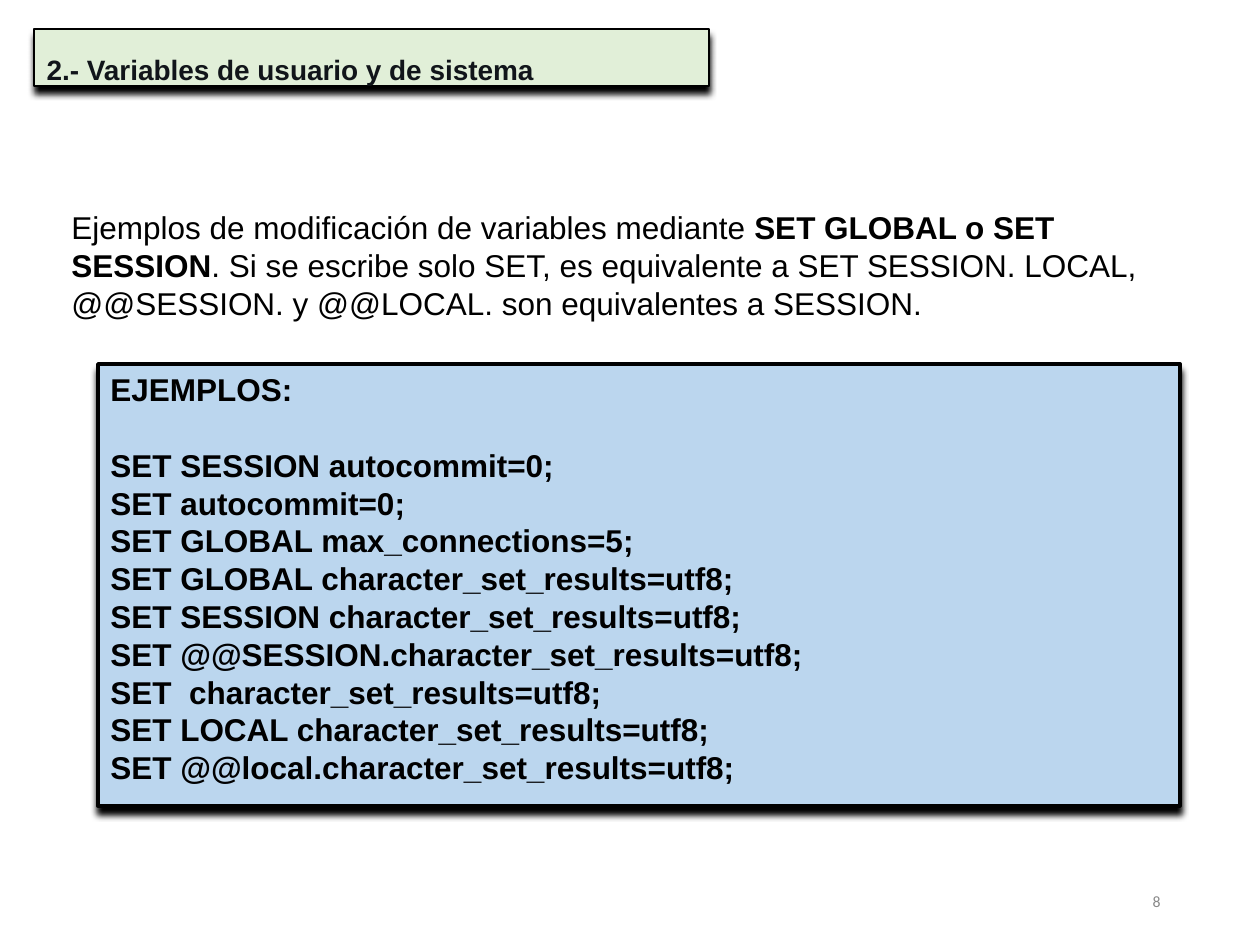
"""Builds the slide on changing user and system variables with SET GLOBAL and SET SESSION."""
from lxml import etree
from pptx import Presentation
from pptx import util as u
from pptx.dml.color import RGBColor
from pptx.enum import shapes, text
from pptx.oxml.ns import qn

PX = 914400 / 126
BLACK = RGBColor(0x00, 0x00, 0x00)
TITLE_INK = RGBColor(0x11, 0x15, 0x1A)
PAGE_GREY = RGBColor(0x89, 0x89, 0x89)
GREEN = RGBColor(0xE1, 0xEF, 0xD8)
BLUE = RGBColor(0xBB, 0xD6, 0xEE)

INTRO = [
    ("Ejemplos de modificación de variables mediante ", False),
    ("SET GLOBAL o SET SESSION", True),
    (". Si se escribe solo SET, es equivalente a SET SESSION. LOCAL, "
     "@@SESSION. y @@LOCAL. son equivalentes a SESSION.", False),
]
STATEMENTS = [
    "SET SESSION autocommit=0;",
    "SET autocommit=0;",
    "SET GLOBAL max_connections=5;",
    "SET GLOBAL character_set_results=utf8;",
    "SET SESSION character_set_results=utf8;",
    "SET @@SESSION.character_set_results=utf8;",
    "SET  character_set_results=utf8;",
    "SET LOCAL character_set_results=utf8;",
    "SET @@local.character_set_results=utf8;",
]


def px(*lengths):
    return [u.Emu(round(length * PX)) for length in lengths]


def add_run(paragraph, words, size=18, color=BLACK, bold=False, font="Arial"):
    run = paragraph.add_run()
    run.text = words
    run.font.name = font
    run.font.size = u.Pt(size)
    run.font.bold = bold
    run.font.color.rgb = color


def style_panel(panel, fill, line_width):
    panel.fill.solid()
    panel.fill.fore_color.rgb = fill
    panel.line.color.rgb = BLACK
    panel.line.width = u.Pt(line_width)
    panel.shadow.inherit = False
    effects = panel._element.spPr.find(qn("a:effectLst"))
    shadow = etree.SubElement(effects, qn("a:outerShdw"), blurRad=str(u.Pt(4)),
                              dist=str(u.Pt(4)), dir="5400000", rotWithShape="0")
    etree.SubElement(shadow, qn("a:srgbClr"), val=str(BLACK))


def prepare_frame(shape, anchor=text.MSO_ANCHOR.TOP):
    frame = shape.text_frame
    frame.word_wrap = True
    frame.auto_size = text.MSO_AUTO_SIZE.NONE
    frame.vertical_anchor = anchor
    return frame


def add_title(slide):
    title = slide.shapes.title
    title.left, title.top, title.width, title.height = px(34, 29, 675, 57)
    style_panel(title, GREEN, 0.75)
    heading = prepare_frame(title).paragraphs[0]
    heading.alignment = text.PP_ALIGN.LEFT
    heading.line_spacing = 1.5
    add_run(heading, "2.- Variables de usuario y de sistema", 16, TITLE_INK, True)


def add_intro(slide):
    intro = slide.shapes.add_textbox(*px(59, 202, 1152, 130))
    paragraph = prepare_frame(intro).paragraphs[0]
    for words, bold in INTRO:
        add_run(paragraph, words, bold=bold)


def add_examples(slide):
    panel = slide.shapes.add_shape(shapes.MSO_SHAPE.RECTANGLE, *px(98, 364, 1082, 442))
    style_panel(panel, BLUE, 2)
    frame = prepare_frame(panel)
    heading = frame.paragraphs[0]
    heading.alignment = text.PP_ALIGN.LEFT
    heading.space_after = u.Pt(21.6)
    add_run(heading, "EJEMPLOS:", bold=True)
    for statement in STATEMENTS:
        paragraph = frame.add_paragraph()
        paragraph.alignment = text.PP_ALIGN.LEFT
        add_run(paragraph, statement, bold=True)


def add_page_number(slide):
    box = slide.shapes.add_textbox(*px(890, 876, 283, 50))
    paragraph = prepare_frame(box, text.MSO_ANCHOR.MIDDLE).paragraphs[0]
    paragraph.alignment = text.PP_ALIGN.RIGHT
    add_run(paragraph, "8", 9, PAGE_GREY, font="Calibri")


def main():
    deck = Presentation()
    deck.slide_width, deck.slide_height = u.Inches(10), u.Inches(7.5)
    slide = deck.slides.add_slide(deck.slide_layouts[5])
    add_title(slide)
    add_intro(slide)
    add_examples(slide)
    add_page_number(slide)
    deck.save("out.pptx")


if __name__ == "__main__":
    main()
